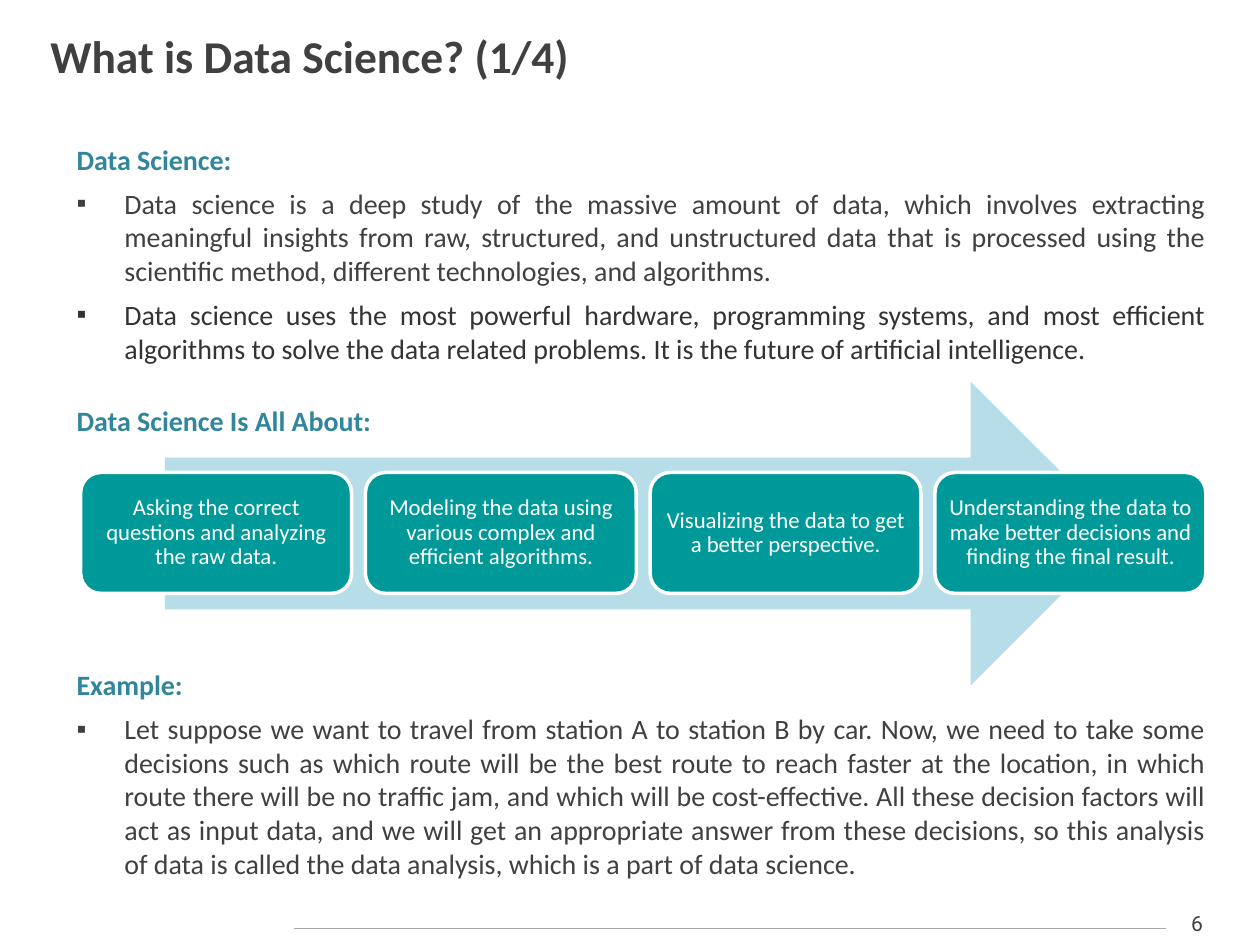
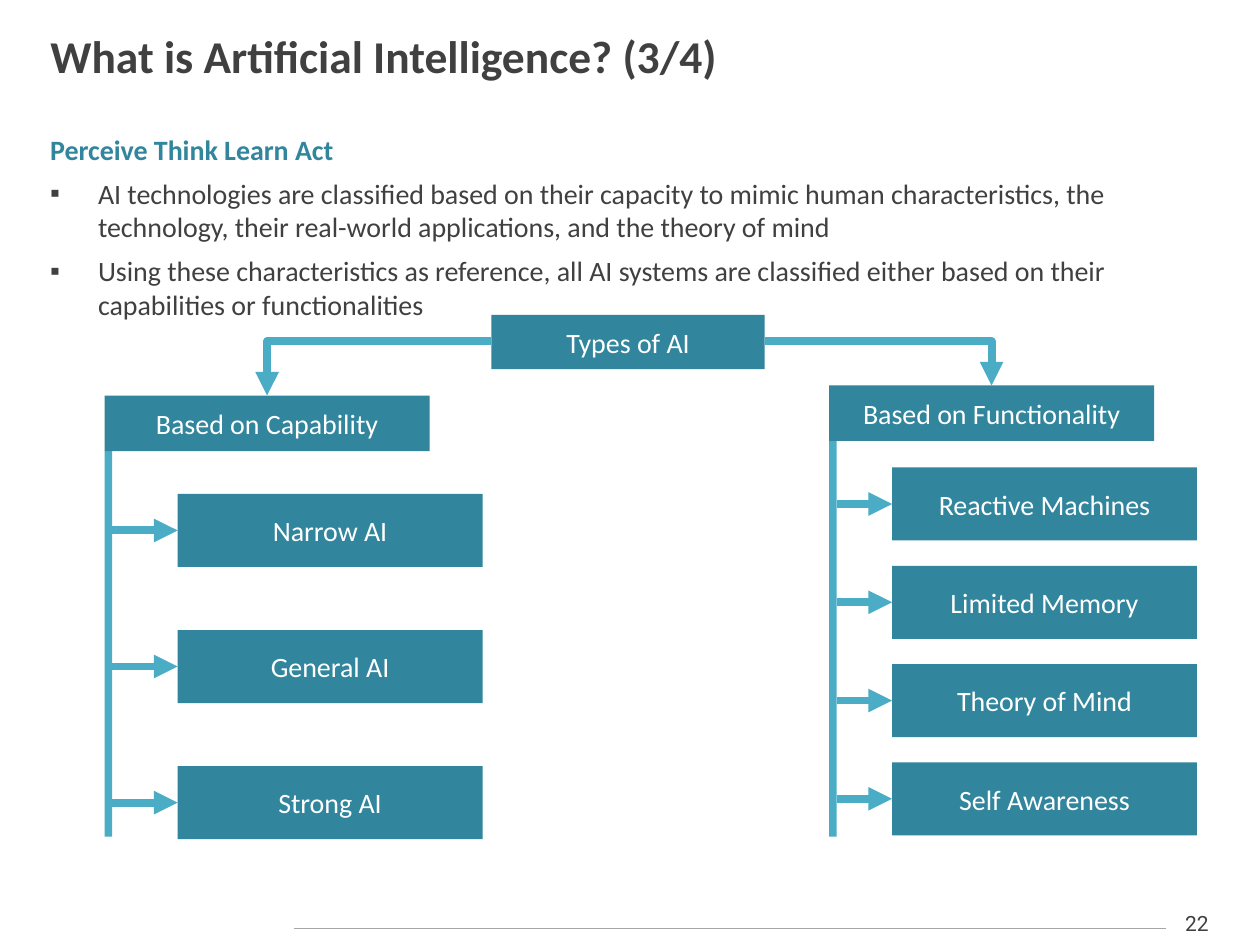
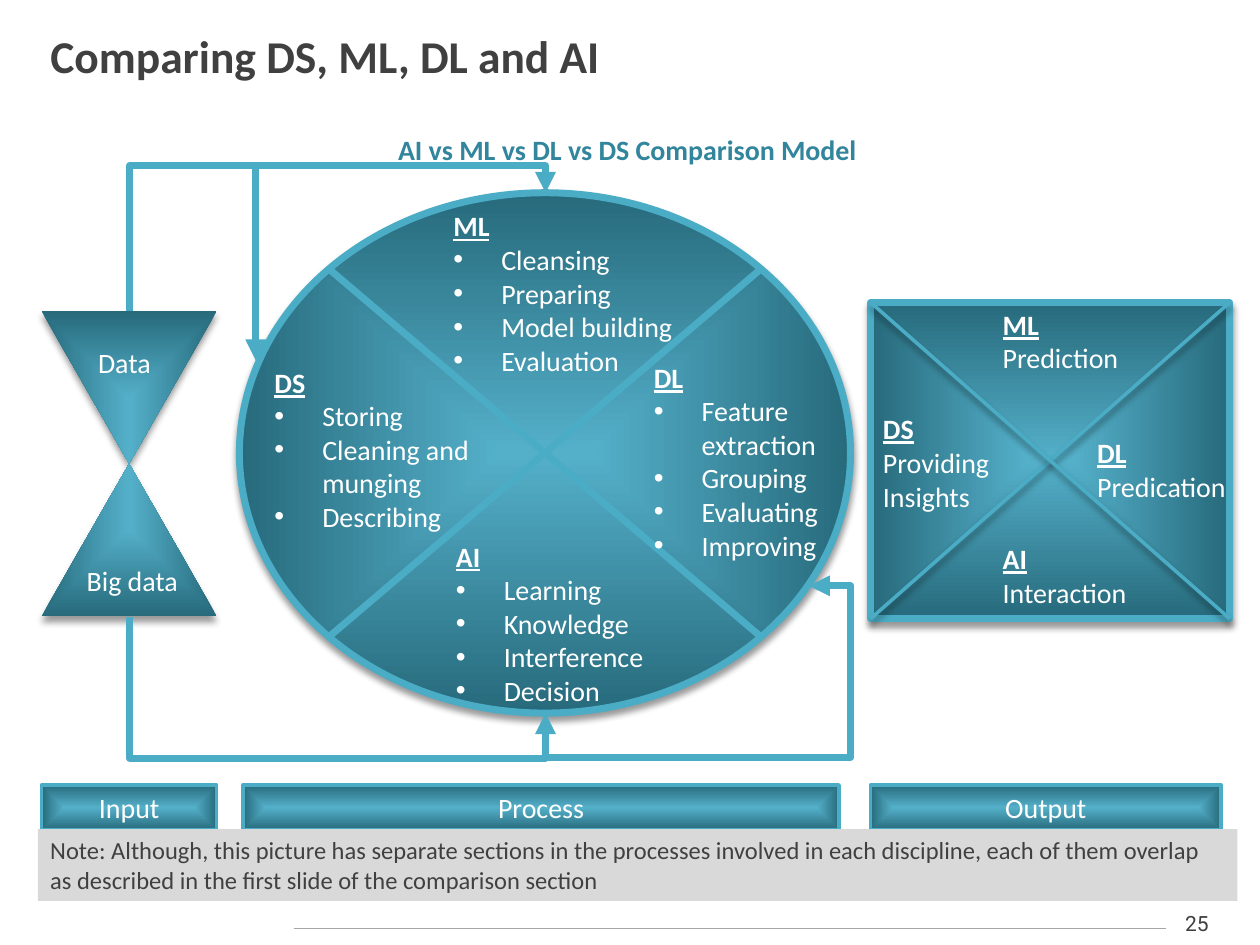
"""Build three slides on data science, AI types and a DS/ML/DL/AI comparison."""
import pptx
import pptx.util
import pptx.dml.color
import pptx.enum.dml
import pptx.enum.shapes
import pptx.enum.text
import pptx.oxml.ns
import lxml.etree

Inches, Pt = pptx.util.Inches, pptx.util.Pt
MSO_SHAPE = pptx.enum.shapes.MSO_SHAPE
MSO_CONNECTOR = pptx.enum.shapes.MSO_CONNECTOR
PP_ALIGN = pptx.enum.text.PP_ALIGN
MSO_ANCHOR = pptx.enum.text.MSO_ANCHOR
qn = pptx.oxml.ns.qn

COLORS = {
    "text": "404040", "dark": "333333", "heading": "31859C", "accent": "4BACC6",
    "rule": "A6A6A6", "arrow": "B7DEE8", "step": "009999", "white": "FFFFFF",
    "note": "D9D9D9", "glow": "54B0C9", "edge": "276A7C", "shadow": "000000",
}

SCIENCE = {
    "title": "What is Data Science? (1/4)",
    "page": "6",
    "sections": [
        (1.08, 1.9, "Data Science:", [
            ("Data science is a deep study of the massive amount of data, which involves "
             "extracting meaningful insights from raw, structured, and unstructured data that "
             "is processed using the scientific method, different technologies, and "
             "algorithms.", "text"),
            ("Data science uses the most powerful hardware, programming systems, and most "
             "efficient algorithms to solve the data related problems. It is the future of "
             "artificial intelligence.", "dark")]),
        (3.15, 0.37, "Data Science Is All About:", []),
        (5.25, 1.8, "Example:", [
            ("Let suppose we want to travel from station A to station B by car. Now, we need "
             "to take some decisions such as which route will be the best route to reach "
             "faster at the location, in which route there will be no traffic jam, and which "
             "will be cost-effective. All these decision factors will act as input data, and "
             "we will get an appropriate answer from these decisions, so this analysis of "
             "data is called the data analysis, which is a part of data science.", "text")]),
    ],
    "steps": [
        "Asking the correct questions and analyzing the raw data.",
        "Modeling the data using various complex and efficient algorithms.",
        "Visualizing the data to get a better perspective.",
        "Understanding the data to make better decisions and finding the final result.",
    ],
}

AI_TYPES = {
    "title": "What is Artificial Intelligence? (3/4)",
    "page": "22",
    "heading": "Perceive Think Learn Act",
    "bullets": [
        ("AI technologies are classified based on their capacity to mimic human "
         "characteristics, the technology, their real-world applications, and the theory "
         "of mind", "text"),
        ("Using these characteristics as reference, all AI systems are classified either "
         "based on their capabilities or functionalities", "text")],
    "root": "Types of AI",
    "branches": [
        {"name": "Based on Capability", "x": 0.83, "y": 3.14, "item_x": 1.41,
         "item_y": 3.92, "pitch": 1.08, "root_x": 3.9,
         "items": ["Narrow AI", "General AI", "Strong AI"]},
        {"name": "Based on Functionality", "x": 6.58, "y": 3.06, "item_x": 7.08,
         "item_y": 3.71, "pitch": 0.78, "root_x": 6.07,
         "items": ["Reactive Machines", "Limited Memory", "Theory of Mind",
                   "Self Awareness"]}],
}

COMPARISON = {
    "title": "Comparing DS, ML, DL and AI",
    "page": "25",
    "heading": "AI vs ML vs DL vs DS Comparison Model",
    "process": [
        ("DS", (2.08, 2.85, 2.08, 1.4), ["Storing", "Cleaning and munging", "Describing"]),
        ("ML", (3.5, 1.61, 2.22, 1.4),
         ["Cleansing", "Preparing", "Model building", "Evaluation"]),
        ("DL", (5.09, 2.81, 1.92, 1.66),
         ["Feature extraction", "Grouping", "Evaluating", "Improving"]),
        ("AI", (3.52, 4.23, 2.05, 1.4),
         ["Learning", "Knowledge", "Interference", "Decision"])],
    "inputs": [("Data", (0.68, 2.69, 0.97, 0.36)), ("Big data", (0.59, 4.42, 1.13, 0.36))],
    "output": [
        ("DS", (6.91, 3.22, 1.36, 0.88), ["Providing", "Insights"]),
        ("ML", (7.86, 2.39, 1.9, 0.62), ["Prediction"]),
        ("DL", (8.61, 3.41, 1.39, 0.62), ["Predication"]),
        ("AI", (7.86, 4.25, 1.55, 0.62), ["Interaction"])],
    "stages": [("Input", 0.33, 1.39), ("Process", 1.93, 4.73), ("Output", 6.91, 2.78)],
    "note": "Note: Although, this picture has separate sections in the processes involved in "
            "each discipline, each of them overlap as described in the first slide of the "
            "comparison section",
}


def rgb(name):
    return pptx.dml.color.RGBColor.from_string(COLORS[name])


def sub(parent, tag, **attrs):
    return lxml.etree.SubElement(parent, qn(tag), {k: str(v) for k, v in attrs.items()})


def style(p, color="text", size=16, bold=False, align=PP_ALIGN.LEFT, before=0,
          bullet=None, underline=False, font="Calibri"):
    if bullet:
        pPr = p._p.get_or_add_pPr()
        pPr.set("marL", str(Inches(0.38)))
        pPr.set("indent", str(-Inches(0.38)))
        sub(pPr, "a:buFont", typeface="Arial")
        sub(pPr, "a:buChar", char=bullet)
    p.alignment = align
    p.space_before = Pt(before)
    p.font.name, p.font.size, p.font.bold = font, Pt(size), bold
    p.font.underline = underline
    p.font.color.rgb = rgb(color)


def write(tf, lines, anchor=MSO_ANCHOR.TOP):
    tf.word_wrap = True
    tf.vertical_anchor = anchor
    for i, (text, fmt) in enumerate(lines):
        p = tf.add_paragraph() if i else tf.paragraphs[0]
        p.text = text
        style(p, **fmt)


def add_text(s, box, lines):
    tb = s.shapes.add_textbox(*map(Inches, box))
    write(tb.text_frame, lines)


def add_section(s, box, heading, bullets, align):
    lines = [(heading, dict(color="heading", bold=True, align=align))]
    lines += [(text, dict(color=color, align=align, before=6, bullet="▪"))
              for text, color in bullets]
    add_text(s, box, lines)


def add_shadow(sp):
    effects = sub(sp._element.spPr, "a:effectLst")
    shadow = sub(effects, "a:outerShdw", blurRad=Pt(4), dist=Pt(3), dir=5400000,
                 algn="t", rotWithShape=0)
    sub(sub(shadow, "a:srgbClr", val=COLORS["shadow"]), "a:alpha", val=40000)


def add_box(s, kind, box, fill=None, line=None, width=2, text=None, size=16, shadow=False):
    sp = s.shapes.add_shape(kind, *map(Inches, box))
    if fill:
        sp.fill.solid()
        sp.fill.fore_color.rgb = rgb(fill)
    else:
        sp.fill.gradient()
        for stop, color in zip(sp.fill.gradient_stops, ("glow", "edge")):
            stop.color.rgb = rgb(color)
        grad = sp._element.spPr.find(qn("a:gradFill"))
        grad.remove(grad.find(qn("a:lin")))
        sub(sub(grad, "a:path", path="shape"), "a:fillToRect",
            l=50000, t=50000, r=50000, b=50000)
    if line:
        sp.line.color.rgb = rgb(line)
        sp.line.width = Pt(width)
    else:
        sp.line.fill.background()
    if shadow:
        add_shadow(sp)
    else:
        sp.shadow.inherit = False
    if text:
        write(sp.text_frame, [(text, dict(color="white", size=size, align=PP_ALIGN.CENTER))],
              MSO_ANCHOR.MIDDLE)
    return sp


def add_line(s, start, end, color="accent", width=4, kind=MSO_CONNECTOR.STRAIGHT,
             arrow=True, shadow=False):
    cn = s.shapes.add_connector(kind, *map(Inches, (*start, *end)))
    cn.line.color.rgb = rgb(color)
    cn.line.width = Pt(width)
    spPr = cn._element.spPr
    if arrow:
        sub(spPr.find(qn("a:ln")), "a:tailEnd", type="triangle")
    if shadow:
        add_shadow(cn)
    else:
        sub(spPr, "a:effectLst")
    return cn


def add_corner(s, start, end, width):
    cn = add_line(s, start, end, width=width, kind=MSO_CONNECTOR.ELBOW)
    cn._element.spPr.find(qn("a:prstGeom")).set("prst", "bentConnector2")


def add_elbow(s, start, end, bend, upright=False):
    if upright:
        (x1, y1), (x2, y2) = start, end
        cx, cy, dx, dy = (x1 + x2) / 2, (y1 + y2) / 2, (x2 - x1) / 2, (y2 - y1) / 2
        start, end = (cx + dy, cy - dx), (cx - dy, cy + dx)
    cn = add_line(s, start, end, kind=MSO_CONNECTOR.ELBOW)
    spPr = cn._element.spPr
    if upright:
        spPr.find(qn("a:xfrm")).set("rot", str(270 * 60000))
    guides = spPr.find(qn("a:prstGeom")).find(qn("a:avLst"))
    sub(guides, "a:gd", name="adj1", fmla=f"val {round(bend * 100000)}")


def add_slide(prs, content):
    s = prs.slides.add_slide(prs.slide_layouts[5])
    title = s.shapes.title
    title.left, title.top, title.width, title.height = map(Inches, (0.3, 0.12, 9.36, 0.63))
    write(title.text_frame, [(content["title"], dict(size=26, bold=True))], MSO_ANCHOR.MIDDLE)
    title.text_frame.auto_size = pptx.enum.text.MSO_AUTO_SIZE.NONE
    add_line(s, (2.33, 7.37), (9.25, 7.37), "rule", 0.75, arrow=False)
    add_text(s, (9.25, 7.18, 0.5, 0.3),
             [(content["page"], dict(size=12, font="Roboto", align=PP_ALIGN.CENTER))])
    return s


def build_science(prs):
    s = add_slide(prs, SCIENCE)
    for top, height, heading, bullets in SCIENCE["sections"]:
        add_section(s, (0.51, top, 9.16, height), heading, bullets, PP_ALIGN.JUSTIFY)
    add_box(s, MSO_SHAPE.RIGHT_ARROW, (1.31, 3.03, 7.6, 2.41), "arrow")
    for i, step in enumerate(SCIENCE["steps"]):
        sp = add_box(s, MSO_SHAPE.ROUNDED_RECTANGLE, (0.64 + 2.26 * i, 3.75, 2.15, 0.96),
                     "step", "white", text=step, size=13)
        tf = sp.text_frame
        tf.margin_left = tf.margin_right = Inches(0.05)
        tf.paragraphs[0].line_spacing = 0.9


def build_ai_types(prs):
    s = add_slide(prs, AI_TYPES)
    add_section(s, (0.3, 1, 9.36, 1.62), AI_TYPES["heading"], AI_TYPES["bullets"],
                PP_ALIGN.LEFT)
    rect, spine_w, head_w, head_h, item_h = MSO_SHAPE.RECTANGLE, 0.06, 2.58, 0.44, 0.58
    add_box(s, rect, (3.9, 2.5, 2.17, 0.43), "heading", text=AI_TYPES["root"])
    for b in AI_TYPES["branches"]:
        x, y = b["x"], b["y"]
        spine_top = y + head_h
        add_box(s, rect, (x, spine_top, spine_w, 6.64 - spine_top), "accent")
        add_box(s, rect, (x, y, head_w, head_h), "heading", text=b["name"])
        add_corner(s, (b["root_x"], 2.71), (x + head_w / 2, y), 4.5)
        for i, item in enumerate(b["items"]):
            top = b["item_y"] + b["pitch"] * i
            add_box(s, rect, (b["item_x"], top, 2.42, item_h), "heading", text=item)
            mid = top + item_h / 2
            add_line(s, (x + spine_w, mid), (b["item_x"], mid), width=4.5)


def build_comparison(prs):
    s = add_slide(prs, COMPARISON)
    name_fmt = dict(color="white", bold=True, underline=True)
    add_box(s, MSO_SHAPE.FLOWCHART_SUMMING_JUNCTION, (1.9, 1.53, 4.85, 4.13),
            line="accent", width=4, shadow=True)
    add_box(s, MSO_SHAPE.FLOWCHART_COLLATE, (0.33, 2.47, 1.39, 2.42), shadow=True)
    left, top, width, height = output = (6.91, 2.4, 2.85, 2.51)
    right, bottom = left + width, top + height
    add_box(s, MSO_SHAPE.RECTANGLE, output, line="accent", width=4, shadow=True)
    for start, end in (((right, top), (left, bottom)), ((left, top), (right, bottom))):
        add_line(s, start, end, width=2, arrow=False, shadow=True)
    for key, bullet in (("process", "•"), ("output", None)):
        for name, box, items in COMPARISON[key]:
            add_text(s, box, [(name, name_fmt)] +
                     [(item, dict(color="white", bullet=bullet)) for item in items])
    for name, box in COMPARISON["inputs"]:
        add_text(s, box, [(name, dict(color="white"))])
    add_elbow(s, (1.03, 2.47), (4.33, 1.53), 1.23, upright=True)
    add_line(s, (2.03, 1.33), (2.03, 2.86))
    add_elbow(s, (1.03, 4.9), (4.33, 5.66), 1.47, upright=True)
    add_elbow(s, (4.34, 6.01), (6.42, 4.65), 1.16)
    for name, x, w in COMPARISON["stages"]:
        add_box(s, MSO_SHAPE.RECTANGLE, (x, 6.23, w, 0.36), line="accent", text=name)
    add_section(s, (0.3, 1, 9.36, 0.37), COMPARISON["heading"], [], PP_ALIGN.CENTER)
    note = add_box(s, MSO_SHAPE.RECTANGLE, (0.3, 6.58, 9.52, 0.57), "note")
    write(note.text_frame, [(COMPARISON["note"], dict(size=14))])


def main():
    prs = pptx.Presentation()
    prs.slide_width, prs.slide_height = Inches(10), Inches(7.5)
    build_science(prs)
    build_ai_types(prs)
    build_comparison(prs)
    prs.save("out.pptx")


if __name__ == "__main__":
    main()
